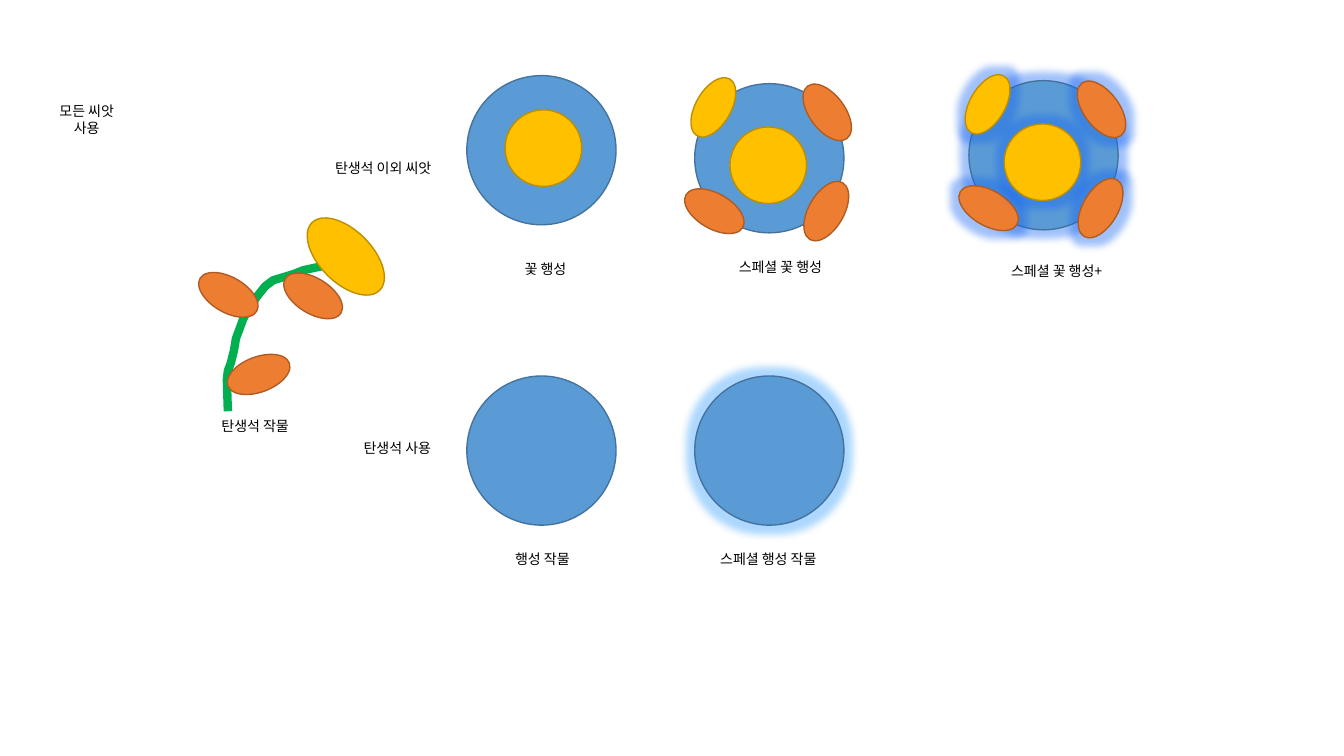
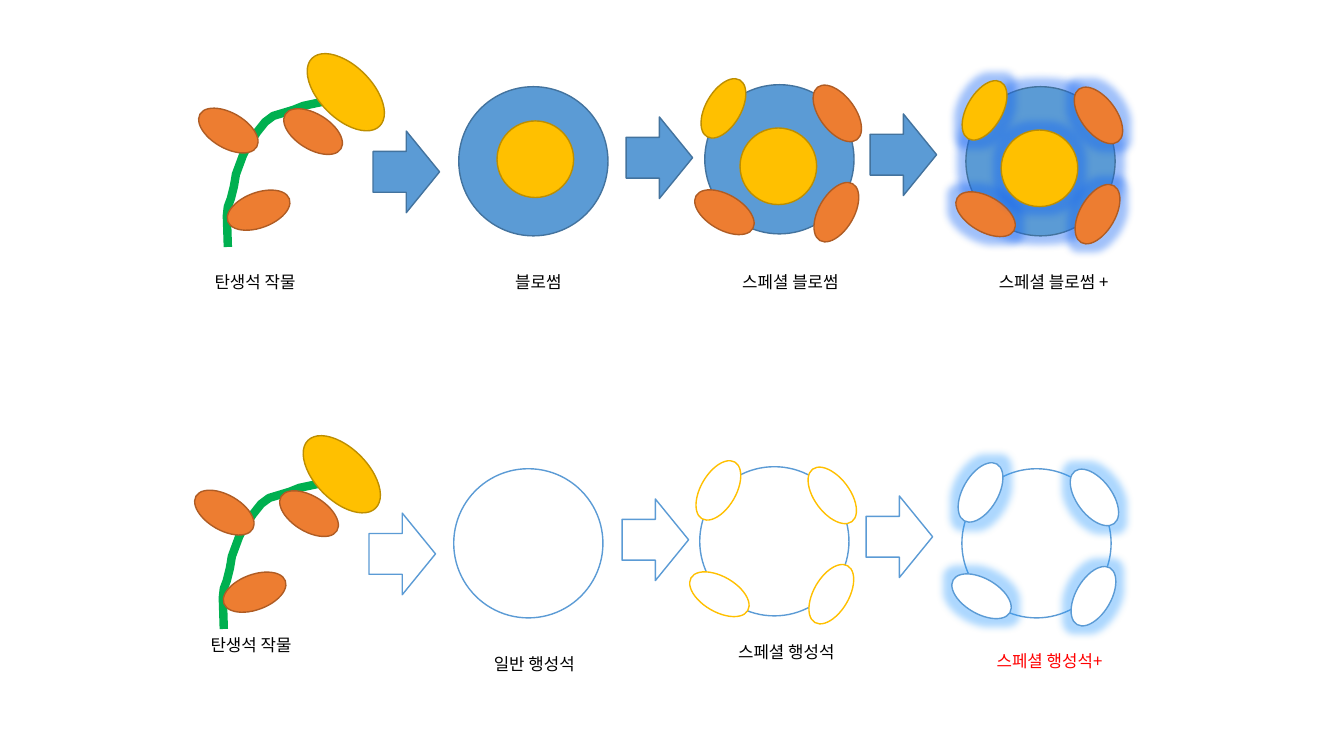
import pptx
import pptx.util
import pptx.dml.color
import pptx.enum.shapes
import pptx.enum.text
import pptx.oxml.ns
from lxml import etree

PX = 9144
RGB = pptx.dml.color.RGBColor
KIND = pptx.enum.shapes.MSO_SHAPE
qn = pptx.oxml.ns.qn
FONT = "Noto Sans CJK KR"

BLACK = RGB(0x00, 0x00, 0x00)
RED = RGB(0xFF, 0x00, 0x00)
WHITE = RGB(0xFF, 0xFF, 0xFF)
GREEN = RGB(0x00, 0xB0, 0x50)
BLUE = RGB(0x5B, 0x9B, 0xD5)
GOLD = RGB(0xFF, 0xC0, 0x00)
RUST = RGB(0xED, 0x7D, 0x31)
DEEP = RGB(0x14, 0x65, 0xF4)
PALE = RGB(0x31, 0x9D, 0xFF)

SKY = (BLUE, RGB(0x43, 0x73, 0x9E))
SUN = (GOLD, RGB(0xBD, 0x8E, 0x00))
LEAF = (RUST, RGB(0xAF, 0x5C, 0x24))
CLEAR = (WHITE, BLUE)
RIM = (WHITE, GOLD)

BALL, CORE = 148, 76
PETAL = (35, 65)
STEM = [(122, 0), (103, 1), (95, 4), (76, 8), (66, 12), (46, 18), (38, 24),
        (30, 34), (20, 49), (16, 57), (9, 76), (8, 82), (7, 88), (4, 100),
        (1, 108), (0, 117), (1, 148)]
LEAVES = [(68, 1, 121.8), (14, 79, 69.7), (-16, 0, 120)]
PETALS = [(114, -4, 323.2), (113, 94, 30), (2, 94, 120)]
TIP = (1, -9, 210)


def draw(shapes, kind, x, y, w, h, tone, turn=0, glow=None):
    shape = shapes.add_shape(kind, x * PX, y * PX, w * PX, h * PX)
    shape.rotation = turn
    shape.shadow.inherit = False
    shape.fill.solid()
    shape.fill.fore_color.rgb, shape.line.color.rgb = tone
    shape.line.width = pptx.util.Pt(1)
    if glow is not None:
        list_ = shape._element.spPr.find(qn("a:effectLst"))
        halo = etree.SubElement(list_, qn("a:glow"), rad=str(pptx.util.Pt(11)))
        tint = etree.SubElement(halo, qn("a:srgbClr"), val=str(glow))
        etree.SubElement(tint, qn("a:alpha"), val="40000")
    return shape


def oval(shapes, x, y, w, h, tone, turn=0, glow=None):
    return draw(shapes, KIND.OVAL, x, y, w, h, tone, turn, glow)


def ball(shapes, x, y, tone, glow=None):
    return oval(shapes, x, y, BALL, BALL, tone, glow=glow)


def label(shapes, mid, top, text, size, color=BLACK):
    lines = text.split("\n")
    width, height = 150, 10 + 17 * len(lines)
    box = shapes.add_textbox((mid - width // 2) * PX, top * PX,
                             width * PX, height * PX)
    box.text_frame.word_wrap = False
    para = box.text_frame.paragraphs[0]
    para.alignment = pptx.enum.text.PP_ALIGN.CENTER
    for pos, line in enumerate(lines):
        if pos:
            para.add_line_break()
        run = para.add_run()
        run.text = line
        run.font.size = pptx.util.Pt(size)
        run.font.color.rgb = color
        run.font.name = FONT
        etree.SubElement(run._r.get_or_add_rPr(), qn("a:ea"), typeface=FONT)


def plant(slide, x, y):
    shapes = slide.shapes.add_group_shape().shapes
    spots = [((x + dx) * PX, (y + dy) * PX) for dx, dy in STEM]
    pen = shapes.build_freeform(*spots[0])
    pen.add_line_segments(spots[1:], close=False)
    stem = pen.convert_to_shape()
    stem.shadow.inherit = False
    stem.fill.background()
    stem.line.color.rgb = GREEN
    stem.line.width = pptx.util.Pt(6)
    oval(shapes, x + 92, y - 53, 52, 95, SUN, 315)
    for dx, dy, turn in LEAVES:
        oval(shapes, x + dx, y + dy, *PETAL, LEAF, turn)


def bud(slide, x, y):
    shapes = slide.shapes.add_group_shape().shapes
    ball(shapes, x, y, SKY)
    oval(shapes, x + 38, y + 34, CORE, CORE, SUN)


def bloom(slide, x, y, sky=SKY, leaf=LEAF, tip=SUN, core=SUN,
          glow=None, aura=None):
    shapes = slide.shapes.add_group_shape().shapes
    ball(shapes, x, y, sky, aura)
    tones = [leaf] * len(PETALS) + [tip]
    for (dx, dy, turn), tone in zip(PETALS + [TIP], tones):
        oval(shapes, x + dx, y + dy, *PETAL, tone, turn, glow)
    if core:
        oval(shapes, x + 35, y + 43, CORE, CORE, core, glow=glow)


def arrows(slide, x, y, tone):
    for dx, dy in [(145, 33), (396, 19), (638, 16)]:
        draw(slide.shapes, KIND.RIGHT_ARROW, x + dx, y + dy, 66, 81, tone)


def names(slide, x, y, items):
    for mid, (text, drop, color) in zip((28, 309, 559, 820), items):
        label(slide.shapes, x + mid, y + drop, text, 12, color)


def gem_row(slide, x, y):
    plant(slide, x, y)
    bud(slide, x + 230, y - 11)
    bloom(slide, x + 474, y - 13)
    bloom(slide, x + 733, y - 11, glow=DEEP, aura=DEEP)
    arrows(slide, x, y, SKY)
    texts = ["탄생석 작물", "블로썸", "스페셜 블로썸", "스페셜 블로썸 +"]
    names(slide, x, y, [(text, 168, BLACK) for text in texts])


def star_row(slide, x, y):
    plant(slide, x, y)
    ball(slide.shapes, x + 229, y - 11, CLEAR)
    bloom(slide, x + 473, y - 13, CLEAR, RIM, RIM, None)
    bloom(slide, x + 733, y - 11, CLEAR, CLEAR, CLEAR, None, PALE)
    arrows(slide, x, y, CLEAR)
    names(slide, x, y, [("탄생석 작물", 149, BLACK),
                        ("일반 행성석", 168, BLACK),
                        ("스페셜 행성석", 156, BLACK),
                        ("스페셜 행성석+", 165, RED)])


def seed_slide(slide):
    plant(slide, 225, 260)
    bud(slide, 463, 75)
    bloom(slide, 689, 83)
    bloom(slide, 961, 80, glow=DEEP, aura=DEEP)
    ball(slide.shapes, 463, 373, SKY)
    ball(slide.shapes, 689, 373, SKY, PALE)
    for mid, top, text in [(253, 409, "탄생석 작물"),
                           (541, 254, "꽃 행성"),
                           (774, 252, "스페셜 꽃 행성"),
                           (1048, 256, "스페셜 꽃 행성+"),
                           (538, 541, "행성 작물"),
                           (762, 541, "스페셜 행성 작물"),
                           (394, 431, "탄생석 사용"),
                           (380, 153, "탄생석 이외 씨앗"),
                           (86, 97, "모든 씨앗\n사용")]:
        label(slide.shapes, mid, top, text, 10)


def step_slide(slide):
    gem_row(slide, 225, 97)
    star_row(slide, 221, 476)


def main():
    deck = pptx.Presentation()
    deck.slide_width, deck.slide_height = 1333 * PX, 750 * PX
    for build in (seed_slide, step_slide):
        build(deck.slides.add_slide(deck.slide_layouts[6]))
    deck.save("out.pptx")


if __name__ == "__main__":
    main()
